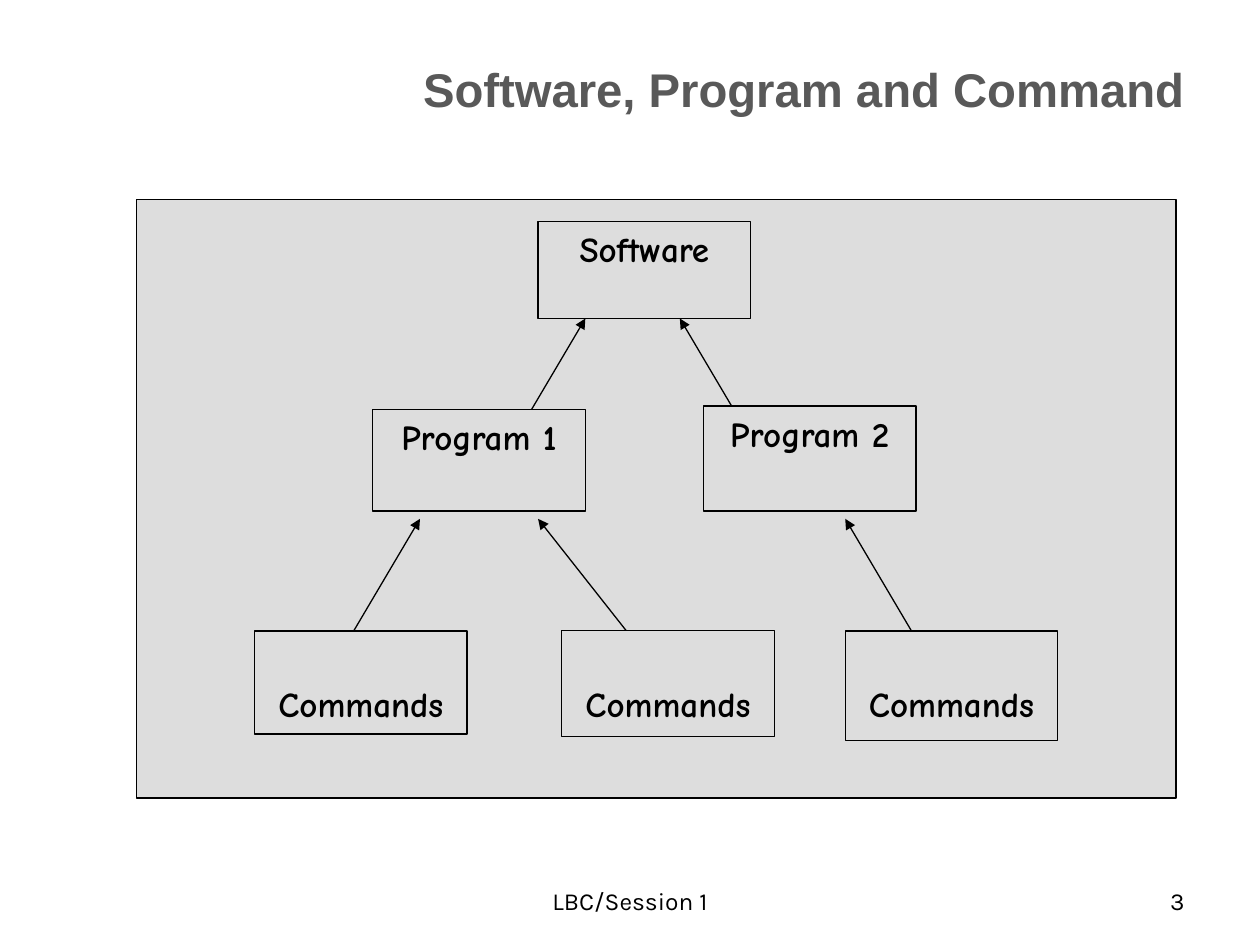
from lxml.etree import SubElement
from pptx import Presentation
from pptx.dml.color import RGBColor
from pptx.enum.shapes import MSO_CONNECTOR as CONN, MSO_SHAPE as SHAPE
from pptx.enum.text import MSO_ANCHOR as ANCHOR, PP_ALIGN as ALIGN
from pptx.oxml.ns import qn
from pptx.util import Pt

BLACK, GREY, PANEL = "000000", "595959", "DDDDDD"
TITLE = {"name": "Arial", "size": Pt(27), "bold": True}
LABEL = {"name": "Comic Neue", "size": Pt(20), "bold": True}
FOOTER = {"name": "Karla", "size": Pt(14), "bold": False}
BOX_W = 121.5
LINE_H = 25.7


def color(value):
    return RGBColor.from_string(value)


class Deck:
    def __init__(self, width, height):
        self.prs = Presentation()
        self.prs.slide_width, self.prs.slide_height = Pt(width), Pt(height)
        self.s = self.prs.slides.add_slide(self.prs.slide_layouts[5])

    def fill_text(self, sp, text, style, align, anchor=ANCHOR.TOP, ink=BLACK, top=3.6):
        tf = sp.text_frame
        frame = {"word_wrap": True, "vertical_anchor": anchor,
                 "margin_left": Pt(7.2), "margin_right": Pt(7.2),
                 "margin_top": Pt(top), "margin_bottom": Pt(3.6)}
        for key, value in frame.items():
            setattr(tf, key, value)
        p = tf.paragraphs[0]
        p.alignment = align
        r = p.add_run()
        r.text = text
        for key, value in style.items():
            setattr(r.font, key, value)
        r.font.color.rgb = color(ink)

    def title(self, text, *box):
        sp = self.s.shapes.title
        for key, value in zip(("left", "top", "width", "height"), box):
            setattr(sp, key, Pt(value))
        self.fill_text(sp, text, TITLE, ALIGN.RIGHT, ANCHOR.MIDDLE, GREY)

    def text(self, text, align, *box):
        sp = self.s.shapes.add_textbox(*map(Pt, box))
        self.fill_text(sp, text, FOOTER, align)

    def box(self, x, y, w, h, text=None, top=3.6):
        sp = self.s.shapes.add_shape(SHAPE.RECTANGLE, *map(Pt, (x, y, w, h)))
        sp.shadow.inherit = False
        sp.fill.solid()
        sp.fill.fore_color.rgb = color(PANEL)
        sp.line.color.rgb = color(BLACK)
        sp.line.width = Pt(0.75)
        if text:
            self.fill_text(sp, text, LABEL, ALIGN.CENTER, top=top)

    def arrow(self, *ends):
        cxn = self.s.shapes.add_connector(CONN.STRAIGHT, *map(Pt, ends))
        cxn.line.color.rgb = color(BLACK)
        cxn.line.width = Pt(0.75)
        sp_pr = cxn._element.spPr
        SubElement(sp_pr.get_or_add_ln(), qn("a:tailEnd"), type="triangle")
        SubElement(sp_pr, qn("a:effectLst"))


def main():
    deck = Deck(720, 540)
    deck.title("Software, Program and Command", 210, 18, 474, 65.5)
    deck.box(78, 114, 594, 342)
    deck.box(307.5, 126.5, BOX_W, 55.5, "Software")

    for start, end in ((199.5, 240), (361.5, 307.5), (523.5, 483)):
        deck.arrow(start, 365, end, 296.5)
    for start, end in ((294, 334.5), (429, 388.5)):
        deck.arrow(start, 250.5, end, 182)

    for x, y, h, name in ((402, 232, 60, "Program 2"), (213, 234, 58, "Program 1")):
        deck.box(x, y, BOX_W, h, name)
    for x, h in ((145.5, 59), (321, 60.5), (483, 62.5)):
        deck.box(x, 360.5, BOX_W, h, "Commands", top=3.6 + LINE_H)

    deck.text("3", ALIGN.RIGHT, 516, 502.5, 168, 37.5)
    deck.text("LBC/Session 1", ALIGN.CENTER, 246, 502.5, 228, 37.5)
    deck.prs.save("out.pptx")


if __name__ == "__main__":
    main()
